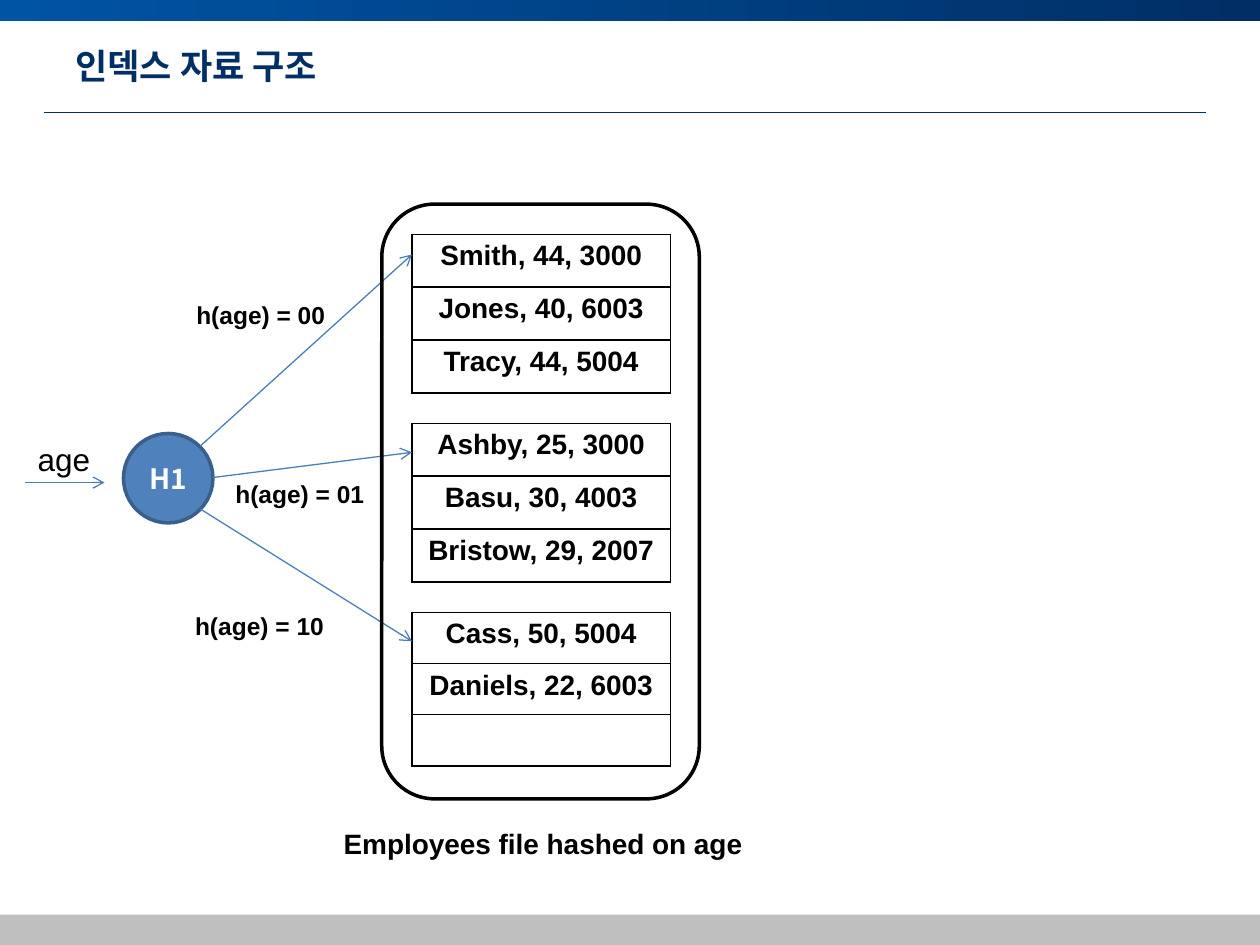
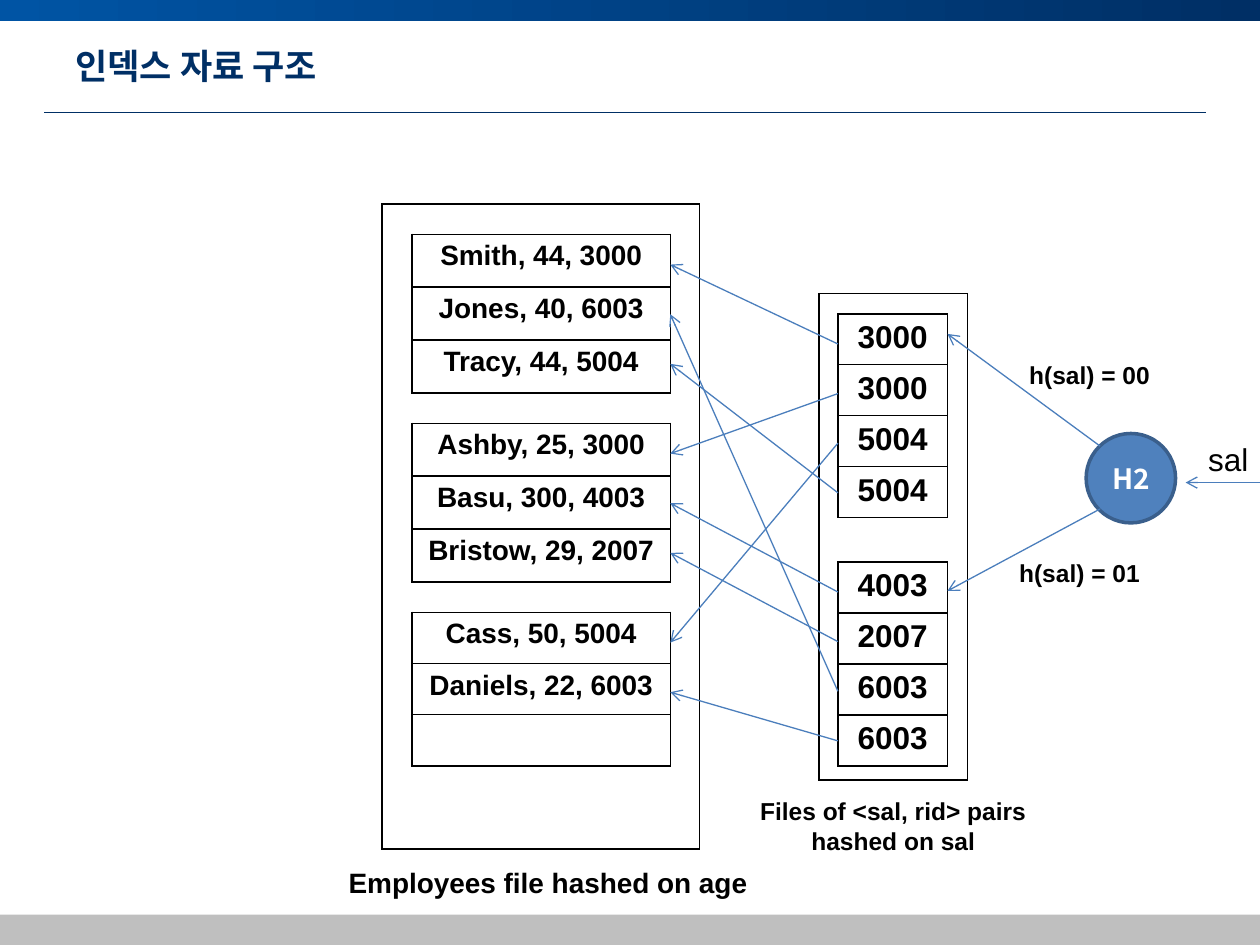
"""Build two slides on index data structures hashed by age and by salary."""
import dataclasses
import typing

import lxml.etree
import pptx
import pptx.dml.color
import pptx.dml.fill
import pptx.enum.shapes
import pptx.enum.text
import pptx.oxml.ns
import pptx.slide
import pptx.text.text
import pptx.util

Inches = pptx.util.Inches
Pt = pptx.util.Pt
qn = pptx.oxml.ns.qn
Align = pptx.enum.text.PP_ALIGN
Shape = pptx.enum.shapes.MSO_SHAPE

COLORS = {
    "navy": "002F65",
    "blue": "0054A4",
    "footer": "BFBFBF",
    "node": "4F81BD",
    "node_edge": "3A5F8C",
    "arrow": "4B7EBC",
    "black": "000000",
    "white": "FFFFFF",
}
LATIN, KOREAN = "Arial", "Noto Sans CJK KR"
FORMATS = {
    "title": {"size": Pt(20), "name": KOREAN, "bold": True},
    "node": {"size": Pt(16), "name": KOREAN, "bold": True},
    "record": {"size": Pt(16), "name": LATIN, "bold": True},
    "salary": {"size": Pt(18), "name": LATIN, "bold": True},
    "hash": {"size": Pt(14), "name": LATIN, "bold": True},
    "key": {"size": Pt(18), "name": LATIN, "bold": False},
}
PLAIN_TABLE = {"first_row": False, "horz_banding": False}

BUCKET_LEFT, BUCKET_TOP, BUCKET_STEP, BUCKET_WIDTH = 3.27, 1.86, 1.5, 2.05
BUCKET_HEIGHTS = (1.26, 1.26, 1.22)
SALARY_LEFT, SALARY_WIDTH = 6.65, 0.87
POINTER_STEP = 3.15 / 8
NODE_TOP, NODE_SIZE = 3.44, 0.71


@dataclasses.dataclass(frozen=True)
class Box:
    left: float
    top: float
    width: float
    height: float

    def lengths(self) -> list[pptx.util.Length]:
        return [Inches(value) for value in dataclasses.astuple(self)]


@dataclasses.dataclass(frozen=True)
class Label:
    lines: tuple[str, ...]
    box: Box
    style: str
    align: Align = Align.LEFT


@dataclasses.dataclass(frozen=True)
class Arrow:
    start: tuple[float, float]
    end: tuple[float, float]


@dataclasses.dataclass(frozen=True)
class SalaryPointer:
    slot: int
    bucket: int
    row: int


def rgb(color: str) -> pptx.dml.color.RGBColor:
    return pptx.dml.color.RGBColor.from_string(COLORS[color])


def paint(fill: pptx.dml.fill.FillFormat, color: str) -> None:
    fill.solid()
    fill.fore_color.rgb = rgb(color)


def write(frame: pptx.text.text.TextFrame, lines: typing.Sequence[str], style: str,
          color: str = "black", align: Align = Align.CENTER) -> None:
    for index, line in enumerate(lines):
        paragraph = frame.add_paragraph() if index else frame.paragraphs[0]
        paragraph.alignment = align
        run = paragraph.add_run()
        run.text = line
        for name, value in FORMATS[style].items():
            setattr(run.font, name, value)
        run.font.color.rgb = rgb(color)
        east_asian = lxml.etree.SubElement(run._r.get_or_add_rPr(), qn("a:ea"))
        east_asian.set("typeface", FORMATS[style]["name"])


def add_label(slide: pptx.slide.Slide, label: Label, color: str = "black") -> None:
    frame = slide.shapes.add_textbox(*label.box.lengths()).text_frame
    frame.word_wrap = True
    write(frame, label.lines, label.style, color, label.align)


def add_line(slide: pptx.slide.Slide, course: Arrow, color: str = "arrow",
             width: float = 0.75, pointed: bool = True) -> None:
    ends = [Inches(value) for value in (*course.start, *course.end)]
    link = slide.shapes.add_connector(pptx.enum.shapes.MSO_CONNECTOR.STRAIGHT, *ends)
    link.line.color.rgb = rgb(color)
    link.line.width = Pt(width)
    if pointed:
        tail = lxml.etree.SubElement(link.line._get_or_add_ln(), qn("a:tailEnd"))
        tail.set("type", "arrow")
    lxml.etree.SubElement(link._element.spPr, qn("a:effectLst"))


def add_band(slide: pptx.slide.Slide, box: Box) -> pptx.dml.fill.FillFormat:
    band = slide.shapes.add_shape(Shape.RECTANGLE, *box.lengths())
    band.shadow.inherit = False
    band.line.fill.background()
    return band.fill


def add_grid(slide: pptx.slide.Slide, rows: typing.Sequence[str], box: Box,
             style: str = "record") -> None:
    table = slide.shapes.add_table(len(rows), 1, *box.lengths()).table
    for name, value in PLAIN_TABLE.items():
        setattr(table, name, value)
    for index, text in enumerate(rows):
        cell = table.cell(index, 0)
        for side in ("a:lnL", "a:lnR", "a:lnT", "a:lnB"):
            border = lxml.etree.SubElement(cell._tc.get_or_add_tcPr(), qn(side), w=str(Pt(1)))
            ink = lxml.etree.SubElement(border, qn("a:solidFill"))
            lxml.etree.SubElement(ink, qn("a:srgbClr"), val=COLORS["black"])
        cell.fill.background()
        if text:
            write(cell.text_frame, [text], style)


def add_hash_node(slide: pptx.slide.Slide, name: str, left: float) -> None:
    node = slide.shapes.add_shape(Shape.OVAL, *Box(left, NODE_TOP, NODE_SIZE, NODE_SIZE).lengths())
    node.shadow.inherit = False
    paint(node.fill, "node")
    node.line.color.rgb = rgb("node_edge")
    node.line.width = Pt(2)
    frame = node.text_frame
    for margin in ("margin_left", "margin_right", "margin_top", "margin_bottom"):
        setattr(frame, margin, 0)
    frame.vertical_anchor = pptx.enum.text.MSO_ANCHOR.MIDDLE
    write(frame, [name], "node", "white")


def add_employee_buckets(slide: pptx.slide.Slide, basu: str) -> None:
    buckets = (
        ("Smith, 44, 3000", "Jones, 40, 6003", "Tracy, 44, 5004"),
        ("Ashby, 25, 3000", basu, "Bristow, 29, 2007"),
        ("Cass, 50, 5004", "Daniels, 22, 6003", ""),
    )
    for index, (records, height) in enumerate(zip(buckets, BUCKET_HEIGHTS)):
        top = BUCKET_TOP + index * BUCKET_STEP
        add_grid(slide, records, Box(BUCKET_LEFT, top, BUCKET_WIDTH, height))


def start_slide(deck: pptx.presentation.Presentation) -> pptx.slide.Slide:
    slide = deck.slides.add_slide(deck.slide_layouts[6])
    header = add_band(slide, Box(0, 0, 10, 0.17))
    header.gradient()
    header.gradient_angle = 0
    for stop, color in zip(header.gradient_stops, ("blue", "navy")):
        stop.color.rgb = rgb(color)
    add_line(slide, Arrow((0.35, 0.89), (9.57, 0.89)), "navy", 0.5, False)
    paint(add_band(slide, Box(0, 7.26, 10, 0.24)), "footer")
    add_label(slide, Label(("인덱스 자료 구조",), Box(0.5, 0.3, 9, 0.58), "title"), "navy")
    return slide


def build_age_slide(deck: pptx.presentation.Presentation) -> None:
    slide = start_slide(deck)
    add_employee_buckets(slide, "Basu, 30, 4003")
    add_hash_node(slide, "H1", 0.98)
    for label in (
        Label(("Employees file hashed on age",), Box(2.44, 6.51, 3.74, 0.37), "record", Align.CENTER),
        Label(("age",), Box(0.2, 3.44, 0.71, 0.4), "key"),
        Label(("h(age) = 00",), Box(1.46, 2.33, 1.34, 0.34), "hash"),
        Label(("h(age) = 01",), Box(1.77, 3.75, 1.5, 0.34), "hash"),
        Label(("h(age) = 10",), Box(1.45, 4.8, 1.5, 0.34), "hash"),
    ):
        add_label(slide, label)
    for arrow in (
        Arrow((0.2, 3.83), (0.83, 3.83)),
        Arrow((1.59, 3.54), (BUCKET_LEFT, 2.02)),
        Arrow((1.69, 3.79), (BUCKET_LEFT, 3.59)),
        Arrow((1.59, 4.04), (BUCKET_LEFT, 5.09)),
    ):
        add_line(slide, arrow)
    file_outline = slide.shapes.add_shape(Shape.ROUNDED_RECTANGLE, *Box(3.03, 1.62, 2.52, 4.72).lengths())
    file_outline.shadow.inherit = False
    file_outline.fill.background()
    file_outline.line.color.rgb = rgb("black")
    file_outline.line.width = Pt(2)


def build_salary_slide(deck: pptx.presentation.Presentation) -> None:
    slide = start_slide(deck)
    add_employee_buckets(slide, "Basu, 300, 4003")
    for top, salaries in (
        (2.49, ("3000", "3000", "5004", "5004")),
        (4.46, ("4003", "2007", "6003", "6003")),
    ):
        add_grid(slide, salaries, Box(SALARY_LEFT, top, SALARY_WIDTH, 1.62), "salary")
    for file_box in (Box(3.03, 1.62, 2.52, 5.12), Box(6.5, 2.33, 1.18, 3.86)):
        add_grid(slide, [""], file_box)
    add_hash_node(slide, "H2", 8.62)
    for label in (
        Label(("Files of <sal, rid> pairs", "hashed on sal"), Box(5.71, 6.27, 2.76, 0.57), "hash", Align.CENTER),
        Label(("Employees file hashed on age",), Box(2.48, 6.82, 3.74, 0.37), "record", Align.CENTER),
        Label(("h(sal) = 00",), Box(8.07, 2.81, 1.34, 0.34), "hash"),
        Label(("h(sal) = 01",), Box(7.99, 4.38, 1.34, 0.34), "hash"),
        Label(("sal",), Box(9.49, 3.44, 0.71, 0.4), "key"),
    ):
        add_label(slide, label)
    for pointer in (
        SalaryPointer(0, 0, 0), SalaryPointer(1, 1, 0),
        SalaryPointer(2, 2, 0), SalaryPointer(3, 0, 2),
        SalaryPointer(5, 1, 1), SalaryPointer(6, 1, 2),
        SalaryPointer(7, 0, 1), SalaryPointer(8, 2, 1),
    ):
        salary_y = 2.73 + pointer.slot * POINTER_STEP
        record_y = 2.1 + pointer.bucket * BUCKET_STEP + pointer.row * POINTER_STEP
        add_line(slide, Arrow((SALARY_LEFT, salary_y), (BUCKET_LEFT + BUCKET_WIDTH, record_y)))
    salary_right = SALARY_LEFT + SALARY_WIDTH
    for arrow in (
        Arrow((8.73, 3.54), (salary_right, 2.65)),
        Arrow((8.73, 4.04), (salary_right, 4.69)),
        Arrow((10, 3.83), (9.41, 3.83)),
    ):
        add_line(slide, arrow)


def main() -> None:
    deck = pptx.Presentation()
    deck.slide_width, deck.slide_height = Inches(10), Inches(7.5)
    build_age_slide(deck)
    build_salary_slide(deck)
    deck.save("out.pptx")


if __name__ == "__main__":
    main()
